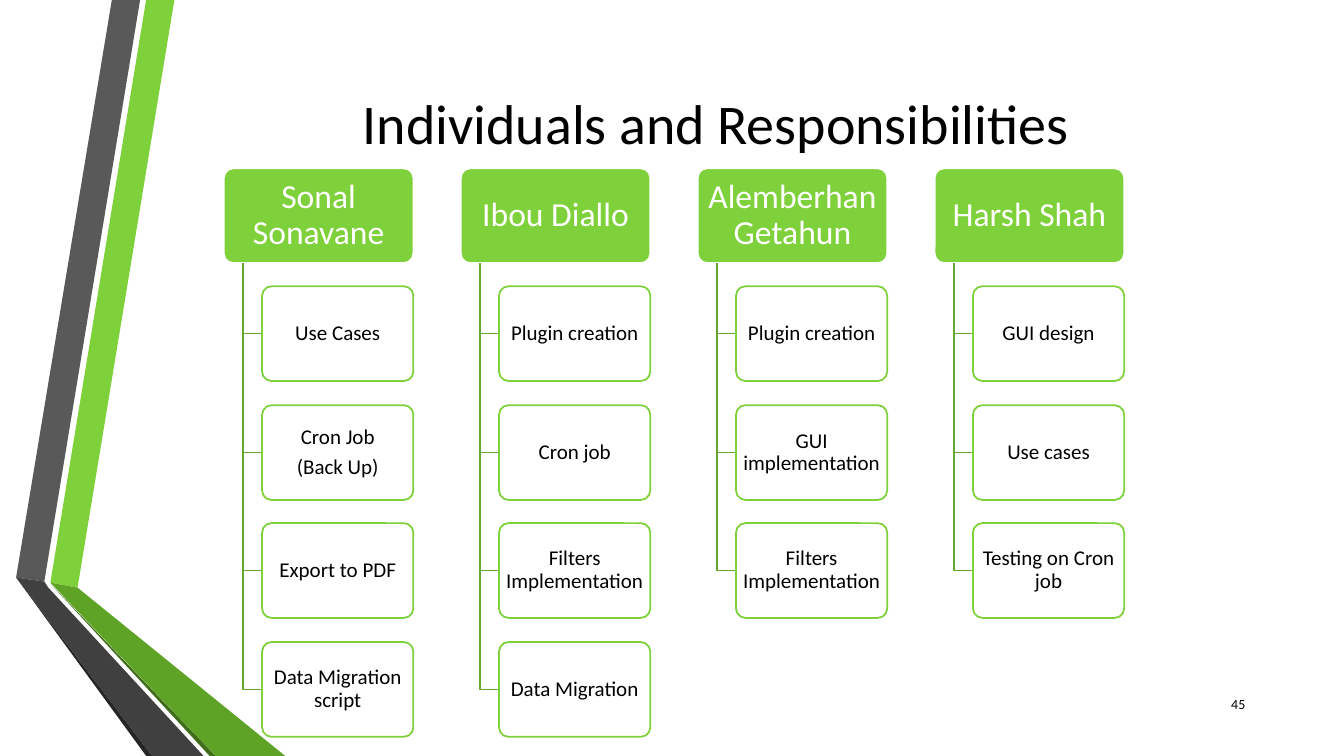
from lxml import etree
from pptx import Presentation
from pptx.dml.color import RGBColor
from pptx.enum.shapes import MSO_SHAPE
from pptx.enum.text import MSO_ANCHOR, PP_ALIGN
from pptx.oxml.ns import qn
from pptx.util import Emu, Pt

PX = 9144
SLIDE_W, SLIDE_H = 1333, 750

BLACK = RGBColor(0x00, 0x00, 0x00)
WHITE = RGBColor(0xFF, 0xFF, 0xFF)
GREEN = RGBColor(0x7F, 0xD1, 0x3B)
MID_GREEN = RGBColor(0x5F, 0xA3, 0x26)
DARK_GREEN = RGBColor(0x3F, 0x6D, 0x19)
BRANCH_GREEN = RGBColor(0x66, 0xA7, 0x2F)
GREY = RGBColor(0x59, 0x59, 0x59)
DARK_GREY = RGBColor(0x40, 0x40, 0x40)
NEAR_BLACK = RGBColor(0x26, 0x26, 0x26)

RIBBONS = [
    (GREEN, [(50, 578), (77, 583), (173, 0), (145, 0)]),
    (GREY, [(139, 0), (111, 0), (16, 573), (44, 577)]),
    (NEAR_BLACK, [(16, 573), (145, 750), (151, 750)]),
    (DARK_GREEN, [(50, 579), (208, 750), (214, 750)]),
    (MID_GREEN, [(50, 578), (214, 750), (283, 750), (77, 583)]),
    (DARK_GREY, [(16, 573), (151, 750), (202, 750), (48, 583), (44, 577)]),
]

TEAM = [
    ("Sonal Sonavane", ["Use Cases", "Cron Job\n(Back Up)", "Export to PDF",
                        "Data Migration script"]),
    ("Ibou Diallo", ["Plugin creation", "Cron job", "Filters Implementation",
                     "Data Migration"]),
    ("Alemberhan Getahun", ["Plugin creation", "GUI implementation",
                            "Filters Implementation"]),
    ("Harsh Shah", ["GUI design", "Use cases", "Testing on Cron job"]),
]


def px(*lengths):
    """Turn px lengths into EMU."""
    return [Emu(length * PX) for length in lengths]


def write(shape, text, size, color, align=PP_ALIGN.CENTER):
    """Set and format the text of a shape."""
    frame = shape.text_frame
    frame.text = text
    frame.word_wrap = True
    frame.vertical_anchor = MSO_ANCHOR.MIDDLE
    for paragraph in frame.paragraphs:
        paragraph.alignment = align
        font = paragraph.runs[0].font
        font.name, font.size = "Calibri", Pt(size)
        font.color.rgb = color
    return frame


def add_label(slide, box, text, size, align=PP_ALIGN.CENTER):
    """Place plain black text in a box."""
    write(slide.shapes.add_textbox(*px(*box)), text, size, BLACK, align)


def add_outline(slide, points, close):
    """Build a freeform through px points, without shadow."""
    builder = slide.shapes.build_freeform(*points[0], scale=PX)
    builder.add_line_segments(points[1:], close=close)
    outline = builder.convert_to_shape()
    outline.shadow.inherit = False
    return outline


def add_ribbons(slide):
    """Draw the folded ribbons on the left edge."""
    for color, points in RIBBONS:
        ribbon = add_outline(slide, points, True)
        ribbon.fill.solid()
        ribbon.fill.fore_color.rgb = color
        ribbon.line.fill.background()


def add_card(slide, box, text, size, colors, insets):
    """Draw a rounded card with centred text."""
    fill, line, ink = colors
    card = slide.shapes.add_shape(MSO_SHAPE.ROUNDED_RECTANGLE, *px(*box))
    card.adjustments[0] = 0.1
    card.shadow.inherit = False
    card.fill.solid()
    card.fill.fore_color.rgb = fill
    card.line.color.rgb = line
    card.line.width = Pt(1.25)
    frame = write(card, text, size, ink)
    side, end = px(*insets)
    frame.margin_left = frame.margin_right = side
    frame.margin_top = frame.margin_bottom = end
    for paragraph in frame.paragraphs:
        paragraph.line_spacing = 0.9
    for paragraph in frame.paragraphs[:-1]:
        paragraph.space_after = Pt(size * 0.35)
    return card


def add_branch(slide, start, end):
    """Draw an elbow going down from start, then across to end."""
    branch = add_outline(slide, [start, (start[0], end[1]), end], False)
    branch.fill.background()
    branch.line.color.rgb = BRANCH_GREEN
    branch.line.width = Pt(1.25)


def add_member(slide, box, name, duties):
    """Draw one person's column: name card, branches and duty cards."""
    left, top, width, height = box
    add_card(slide, box, name, 24, (GREEN, WHITE, WHITE), (5, 3))
    spine, indent = width // 10 + 1, width // 5 + 1
    for row, duty in enumerate(duties, 1):
        duty_top = top + row * height * 5 // 4
        add_branch(slide, (left + spine, top + height),
                   (left + indent, duty_top + height // 2))
        card = add_card(slide, (left + indent, duty_top, width - indent, height),
                        duty, 15, (WHITE, GREEN, BLACK), (3, 2))
        tint = card.fill.fore_color and card.element.spPr.find(
            qn("a:solidFill"))[0]
        etree.SubElement(tint, qn("a:alpha"), val="90000")


def add_team(slide, box):
    """Lay the team's columns side by side from the left of the box."""
    left, top, width, height = box
    pitch = width * 5 // 4
    for column, (name, duties) in enumerate(TEAM):
        add_member(slide, (left + column * pitch, top, width, height),
                   name, duties)


def main():
    """Build and save the slide."""
    deck = Presentation()
    deck.slide_width, deck.slide_height = px(SLIDE_W, SLIDE_H)
    slide = deck.slides.add_slide(deck.slide_layouts[6])
    add_ribbons(slide)
    add_label(slide, (162, 75, 1096, 92),
              "Individuals and Responsibilities", 40)
    add_team(slide, (222, 167, 188, 94))
    add_label(slide, (1185, 678, 60, 40), "45", 10, PP_ALIGN.RIGHT)
    deck.save("out.pptx")


if __name__ == "__main__":
    main()
